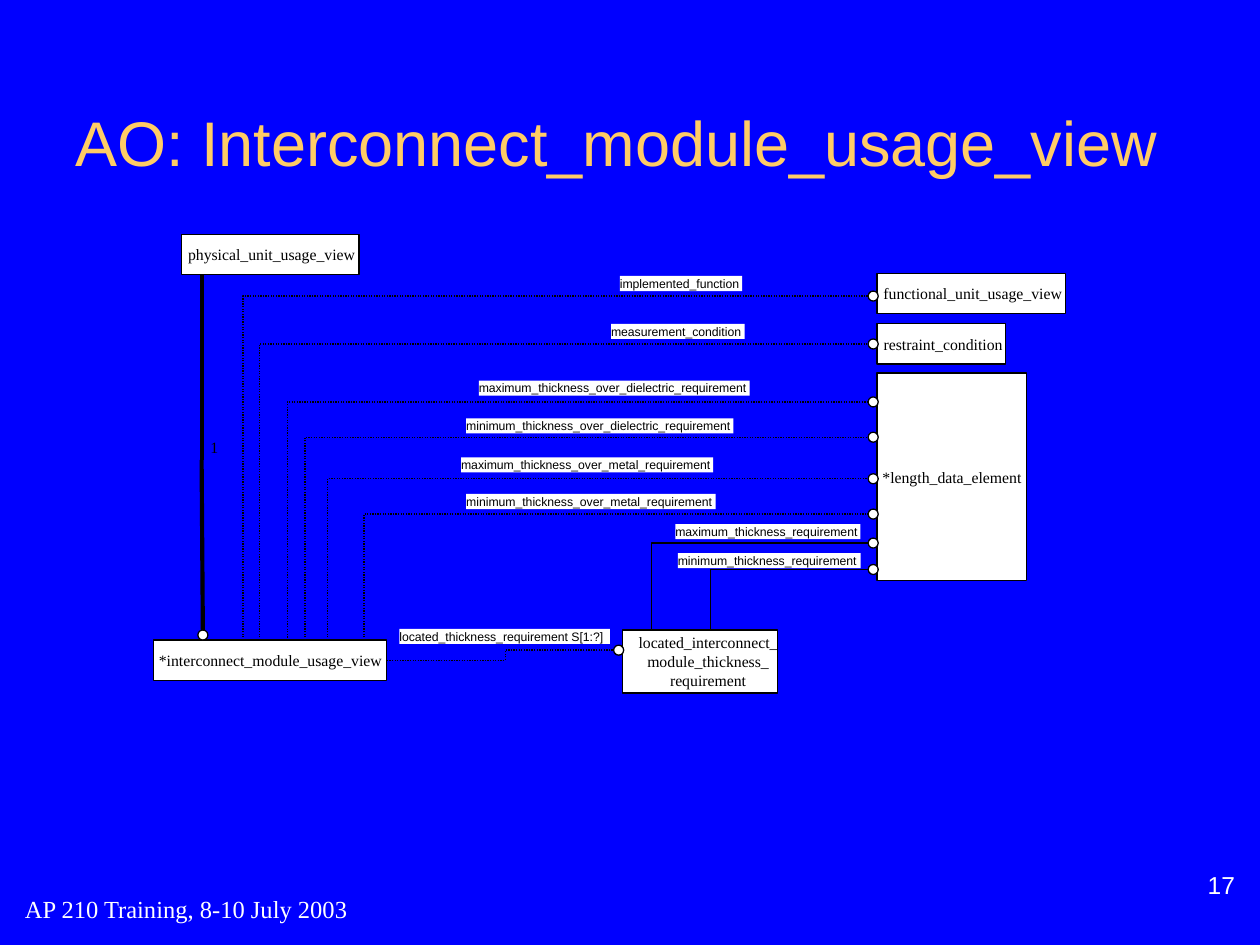
import pptx
import pptx.dml.color
import pptx.enum.dml
import pptx.enum.shapes
import pptx.enum.text
import pptx.util
from lxml import etree
from pptx.util import Inches

COLORS = {"background": "0000FF", "title": "FFCC66", "ink": "000000", "paper": "FFFFFF"}
SHAPES = pptx.enum.shapes.MSO_SHAPE
ALIGN = pptx.enum.text.PP_ALIGN
ANCHOR = pptx.enum.text.MSO_ANCHOR
DRAWING_NS = "http://schemas.openxmlformats.org/drawingml/2006/main"

PORT_SIZE = 0.08
PORT_X = 6.89       # ports on the left of the right-hand entities
MODULE_TOP = 5.08   # top of *interconnect_module_usage_view
LOCATED_TOP = 5.0   # top of located_interconnect_module_thickness_requirement

# left, top, width, height, name, left inset
ENTITIES = [
    (6.96, 2.96, 1.19, 1.65, "*length_data_element", 0),
    (1.44, 1.86, 1.41, 0.32, "physical_unit_usage_view", 0.02),
    (6.96, 2.57, 1.02, 0.32, "restraint_condition", 0.03),
    (6.96, 2.17, 1.50, 0.32, "functional_unit_usage_view", 0.02),
    (1.22, 5.08, 1.85, 0.32, "*interconnect_module_usage_view", 0),
    (4.94, 5.00, 1.23, 0.50, "located_interconnect_\nmodule_thickness_\nrequirement", 0.13),
]

# start x, start y, port y, name, label left, label top, label width
ATTRIBUTES = [
    (2.89, MODULE_TOP, 4.08, "minimum_thickness_over_metal_requirement", 3.70, 3.92, 1.98),
    (2.60, MODULE_TOP, 3.80, "maximum_thickness_over_metal_requirement", 3.66, 3.63, 2.00),
    (2.42, MODULE_TOP, 3.47, "minimum_thickness_over_dielectric_requirement", 3.70, 3.32, 2.12),
    (2.28, MODULE_TOP, 3.19, "maximum_thickness_over_dielectric_requirement", 3.80, 3.02, 2.15),
    (2.06, MODULE_TOP, 2.73, "measurement_condition", 4.85, 2.57, 1.06),
    (5.17, LOCATED_TOP, 4.31, "maximum_thickness_requirement", 5.36, 4.16, 1.47),
    (5.64, LOCATED_TOP, 4.52, "minimum_thickness_requirement", 5.38, 4.39, 1.45),
    (1.93, MODULE_TOP, 2.35, "implemented_function", 4.92, 2.19, 0.97),
]


def rgb(name):
    return pptx.dml.color.RGBColor.from_string(COLORS[name])


def set_text(shape, text, size, font, color, align=ALIGN.LEFT,
             anchor=ANCHOR.MIDDLE, margins=(0, 0, 0, 0), wrap=True):
    frame = shape.text_frame
    frame.text = text
    frame.word_wrap = wrap
    frame.vertical_anchor = anchor
    (frame.margin_left, frame.margin_top,
     frame.margin_right, frame.margin_bottom) = map(Inches, margins)
    for para in frame.paragraphs:
        para.alignment = align
        para.font.size = pptx.util.Pt(size)
        para.font.name = font
        para.font.color.rgb = rgb(color)


def add_text(slide, bounds, text, size, font, color, **options):
    box = slide.shapes.add_textbox(*map(Inches, bounds))
    set_text(box, text, size, font, color, **options)


def set_line(shape, width):
    shape.line.color.rgb = rgb("ink")
    shape.line.width = pptx.util.Pt(width)


def add_white_shape(slide, kind, bounds, outlined=True):
    shape = slide.shapes.add_shape(kind, *map(Inches, bounds))
    shape.shadow.inherit = False
    shape.fill.solid()
    shape.fill.fore_color.rgb = rgb("paper")
    if outlined:
        set_line(shape, 0.75)
    else:
        shape.line.fill.background()
    return shape


def add_entity(slide, left, top, width, height, name, inset):
    box = add_white_shape(slide, SHAPES.RECTANGLE, (left, top, width, height))
    set_text(box, name, 9, "Times New Roman", "ink", align=ALIGN.CENTER,
             margins=(inset, 0, 0, 0), wrap=False)


def add_port(slide, left, center_y):
    add_white_shape(slide, SHAPES.OVAL,
                    (left, center_y - PORT_SIZE / 2, PORT_SIZE, PORT_SIZE))


def add_label(slide, left, top, width, text):
    label = add_white_shape(slide, SHAPES.RECTANGLE, (left, top, width, 0.12), outlined=False)
    set_text(label, text, 7, "Arial", "ink", anchor=ANCHOR.TOP)


def add_route(slide, points, dotted):
    corners = [(Inches(x), Inches(y)) for x, y in points]
    builder = slide.shapes.build_freeform(*corners[0])
    builder.add_line_segments(corners[1:], close=False)
    route = builder.convert_to_shape()
    route.shadow.inherit = False
    route.fill.background()
    set_line(route, 0 if dotted else 0.75)
    if dotted:
        route.line.dash_style = pptx.enum.dml.MSO_LINE.ROUND_DOT


def add_thick_line(slide, start, end):
    line = slide.shapes.add_connector(pptx.enum.shapes.MSO_CONNECTOR.STRAIGHT,
                                      *map(Inches, start + end))
    set_line(line, 2.38)
    etree.SubElement(line._element.spPr, f"{{{DRAWING_NS}}}effectLst")


def main():
    deck = pptx.Presentation()
    deck.slide_width, deck.slide_height = Inches(10), Inches(7.5)
    slide = deck.slides.add_slide(deck.slide_layouts[6])
    slide.background.fill.solid()
    slide.background.fill.fore_color.rgb = rgb("background")

    # Title
    add_text(slide, (0.5, 0.5, 9, 1.25), "AO: Interconnect_module_usage_view",
             36, "Arial", "title", margins=(0.1, 0.05, 0.1, 0.05))

    # Entities
    for entity in ENTITIES:
        add_entity(slide, *entity)

    # Attributes: up from the entity, then right to a port
    for start_x, start_y, port_y, name, left, top, width in ATTRIBUTES:
        points = [(start_x, start_y), (start_x, port_y), (PORT_X, port_y)]
        add_route(slide, points, dotted=start_y == MODULE_TOP)
        add_port(slide, PORT_X, port_y)
        add_label(slide, left, top, width, name)

    # Stepped link to the located requirement
    add_route(slide, [(3.07, 5.24), (4.01, 5.24), (4.01, 5.16), (4.87, 5.16)], dotted=True)
    add_port(slide, 4.87, 5.16)
    add_label(slide, 3.17, 4.99, 1.67, "located_thickness_requirement S[1:?]")

    # Subtype line
    add_thick_line(slide, (1.6, 2.18), (1.6, 3.65))
    add_thick_line(slide, (1.6, 3.65), (1.61, 5))
    add_port(slide, 1.57, 5.04)
    add_text(slide, (1.67, 3.47, 0.06, 0.15), "1", 9, "Times New Roman", "ink",
             align=ALIGN.CENTER, anchor=ANCHOR.TOP, wrap=False)

    # Footer and slide number
    add_text(slide, (0.1, 6.96, 4.67, 0.5), "AP 210 Training, 8-10 July 2003",
             14, "Times New Roman", "paper", margins=(0.1, 0.05, 0.1, 0.05))
    add_text(slide, (7.85, 6.72, 2.05, 0.42), "17", 14, "Arial", "paper",
             align=ALIGN.RIGHT, anchor=ANCHOR.BOTTOM, margins=(0.1, 0, 0.1, 0))

    deck.save("out.pptx")


if __name__ == "__main__":
    main()
